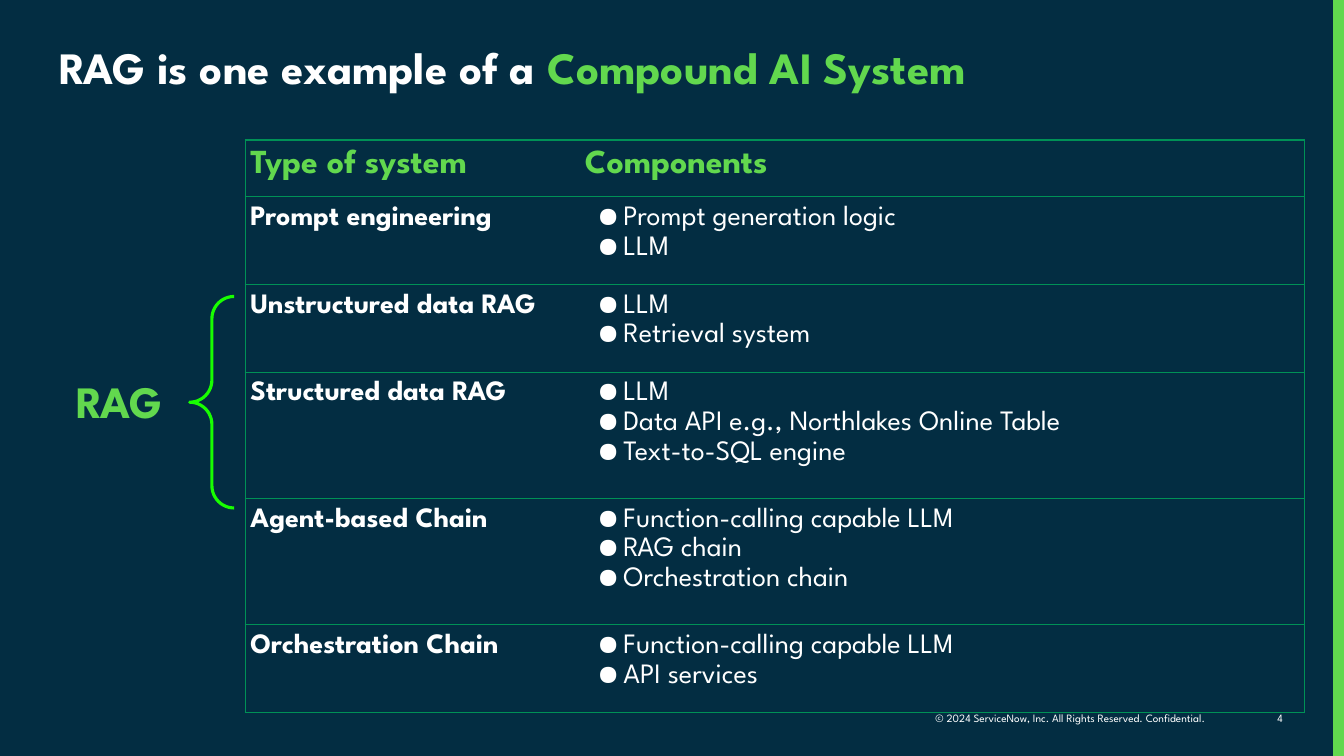
from typing import NamedTuple

from lxml import etree
from pptx import Presentation
from pptx import util as u
from pptx.dml.color import RGBColor
from pptx.enum import shapes, text
from pptx.oxml import ns

NAVY = RGBColor(0x03, 0x2D, 0x42)
GREEN = RGBColor(0x62, 0xD8, 0x4E)
BRIGHT_GREEN = RGBColor(0x18, 0xFE, 0x00)
BORDER_GREEN = RGBColor(0x00, 0x91, 0x56)
WHITE = RGBColor(0xFF, 0xFF, 0xFF)
FONT = "League Spartan"
CELL_MARGIN = u.Cm(0.13)


class Box(NamedTuple):
    left: float
    top: float
    width: float
    height: float

    def lengths(self) -> list:
        return [u.Cm(value) for value in self]


class Label(NamedTuple):
    box: Box
    wording: str
    size: int
    color: RGBColor
    bold: bool
    align: text.PP_ALIGN
    anchor: text.MSO_ANCHOR
    margin: float


class System(NamedTuple):
    kind: str
    components: list


SYSTEMS = [
    System("Prompt engineering", ["Prompt generation logic", "LLM"]),
    System("Unstructured data RAG", ["LLM", "Retrieval system"]),
    System("Structured data RAG",
           ["LLM", "Data API e.g., Northlakes Online Table", "Text-to-SQL engine"]),
    System("Agent-based Chain",
           ["Function-calling capable LLM", "RAG chain", "Orchestration chain"]),
    System("Orchestration Chain", ["Function-calling capable LLM", "API services"]),
]

LABELS = [
    Label(Box(1.75, 9.25, 22.05, 1.75), "RAG", 32, GREEN, True,
          text.PP_ALIGN.LEFT, text.MSO_ANCHOR.TOP, 0.18),
    Label(Box(22.05, 17.81, 8.59, 0.58),
          "© 2024 ServiceNow, Inc. All Rights Reserved. Confidential.", 8, WHITE, False,
          text.PP_ALIGN.RIGHT, text.MSO_ANCHOR.MIDDLE, 0.25),
    Label(Box(30.73, 17.81, 1.85, 0.64), "4", 8, WHITE, False,
          text.PP_ALIGN.RIGHT, text.MSO_ANCHOR.TOP, 0.25),
]


def apply(target, formats: dict) -> None:
    for name, value in formats.items():
        setattr(target, name, value)


def add_run(paragraph, wording: str, size: int, color: RGBColor, bold: bool) -> None:
    run = paragraph.add_run()
    run.text = wording
    apply(run.font, {"name": FONT, "size": u.Pt(size), "bold": bold})
    run.font.color.rgb = color


def add_label(slide, label: Label) -> None:
    frame = slide.shapes.add_textbox(*label.box.lengths()).text_frame
    apply(frame, {"word_wrap": True, "vertical_anchor": label.anchor,
                  "margin_left": u.Cm(label.margin), "margin_right": u.Cm(label.margin)})
    if label.margin < 0.25:
        apply(frame, {"margin_top": u.Cm(label.margin), "margin_bottom": u.Cm(label.margin)})
    paragraph = frame.paragraphs[0]
    paragraph.alignment = label.align
    add_run(paragraph, label.wording, label.size, label.color, label.bold)


def add_bullet(paragraph) -> None:
    props = paragraph._p.get_or_add_pPr()
    props.set("marL", str(u.Cm(0.97)))
    props.set("indent", str(u.Cm(-0.66)))
    color = etree.SubElement(props, ns.qn("a:buClr"))
    etree.SubElement(color, ns.qn("a:srgbClr"), val=str(WHITE))
    etree.SubElement(props, ns.qn("a:buChar"), char="●")


def set_borders(cell, open_side: str) -> None:
    props = cell._tc.get_or_add_tcPr()
    for index, side in enumerate("LRTB"):
        line = etree.Element(ns.qn(f"a:ln{side}"), w=str(u.Pt(1)))
        if side == open_side:
            etree.SubElement(line, ns.qn("a:noFill"))
        else:
            fill = etree.SubElement(line, ns.qn("a:solidFill"))
            etree.SubElement(fill, ns.qn("a:srgbClr"), val=str(BORDER_GREEN))
        props.insert(index, line)


def fill_cell(cell, lines: list, size: int, color: RGBColor, bold: bool,
              bulleted: bool, open_side: str) -> None:
    cell.fill.background()
    apply(cell, {f"margin_{side}": CELL_MARGIN for side in ("left", "right", "top", "bottom")})
    set_borders(cell, open_side)
    frame = cell.text_frame
    for index, wording in enumerate(lines):
        paragraph = frame.add_paragraph() if index else frame.paragraphs[0]
        if bulleted:
            add_bullet(paragraph)
        paragraph.line_spacing = 1.15
        add_run(paragraph, wording, size, color, bold)


def add_systems_table(slide) -> None:
    box = Box(6.18, 3.53, 26.69, 14.45)
    table = slide.shapes.add_table(len(SYSTEMS) + 1, 2, *box.lengths()).table
    apply(table, {"first_row": False, "horz_banding": False})
    for column, width in zip(table.columns, (8.43, 18.26)):
        column.width = u.Cm(width)

    # Header row
    table.rows[0].height = u.Cm(1.43)
    for column, (heading, open_side) in enumerate([("Type of system", "R"), ("Components", "L")]):
        fill_cell(table.cell(0, column), [heading], 24, GREEN, True, False, open_side)

    # One row per system, as tall as its list of components
    for row, system in enumerate(SYSTEMS, start=1):
        table.rows[row].height = u.Cm(0.27 + 0.97 * len(system.components))
        fill_cell(table.cell(row, 0), [system.kind], 20, WHITE, True, False, "R")
        fill_cell(table.cell(row, 1), system.components, 20, WHITE, False, True, "L")


def add_title(slide) -> None:
    title = slide.shapes.title
    apply(title, dict(zip(("left", "top", "width", "height"),
                          Box(1.24, 1.02, 31.09, 3.33).lengths())))
    apply(title.text_frame, {"vertical_anchor": text.MSO_ANCHOR.TOP, "word_wrap": True,
                             "auto_size": text.MSO_AUTO_SIZE.NONE})
    paragraph = title.text_frame.paragraphs[0]
    apply(paragraph, {"alignment": text.PP_ALIGN.LEFT, "line_spacing": 0.9})
    add_run(paragraph, "RAG is one example of a ", 32, WHITE, True)
    add_run(paragraph, "Compound AI System", 32, GREEN, True)


def main() -> None:
    deck = Presentation()
    apply(deck, {"slide_width": u.Cm(33.87), "slide_height": u.Cm(19.05)})
    slide = deck.slides.add_slide(deck.slide_layouts[5])
    slide.background.fill.solid()
    slide.background.fill.fore_color.rgb = NAVY

    # Edge stripe
    stripe = slide.shapes.add_shape(shapes.MSO_SHAPE.RECTANGLE,
                                    *Box(33.6, 0, 0.27, 19.05).lengths())
    stripe.shadow.inherit = False
    stripe.fill.solid()
    stripe.fill.fore_color.rgb = GREEN
    stripe.line.fill.background()

    add_title(slide)

    # Brace around the RAG rows
    brace = slide.shapes.add_shape(shapes.MSO_SHAPE.RIGHT_BRACE,
                                   *Box(4.78, 7.47, 1.12, 5.33).lengths())
    brace.shadow.inherit = False
    brace.rotation = 180
    brace.adjustments[0] = brace.adjustments[1] = 0.5
    brace.fill.background()
    brace.line.color.rgb = BRIGHT_GREEN
    brace.line.width = u.Pt(2.25)

    # RAG label, copyright line and page number
    for label in LABELS:
        add_label(slide, label)

    add_systems_table(slide)
    deck.save("out.pptx")


if __name__ == "__main__":
    main()
